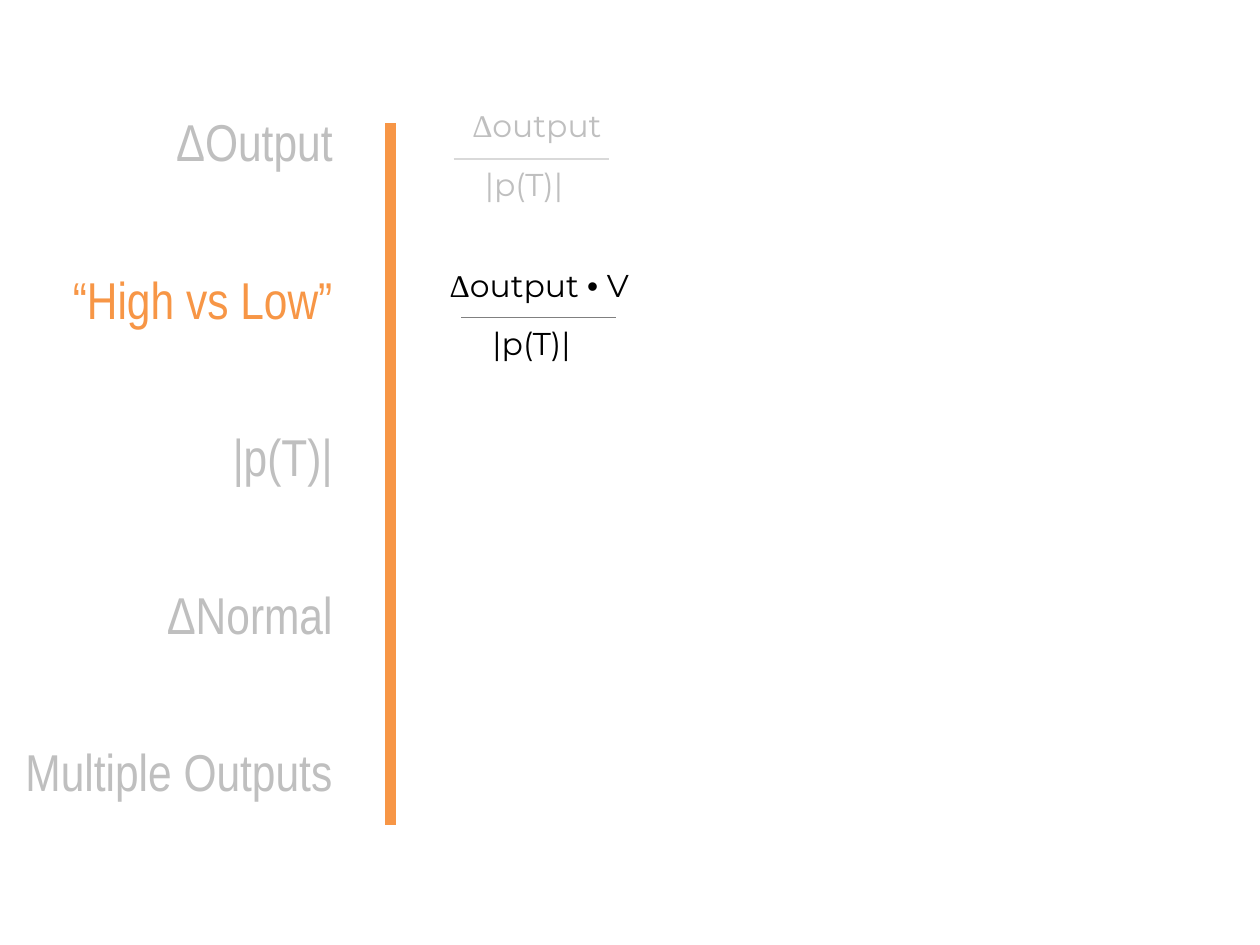
import pptx
import pptx.util
import pptx.dml.color
import pptx.enum.shapes
import pptx.enum.text
import pptx.oxml.ns
from lxml import etree

Inches = pptx.util.Inches
Pt = pptx.util.Pt
RGB = pptx.dml.color.RGBColor

ORANGE = RGB(0xF7, 0x96, 0x46)
SILVER = RGB(0xBF, 0xBF, 0xBF)
PALE = RGB(0xD9, 0xD9, 0xD9)
GRAY = RGB(0x80, 0x80, 0x80)
BLACK = RGB(0, 0, 0)

SERIF, SANS, PLAIN = "Times New Roman", "Montserrat", "Arial"
TOPICS = [
    ("ΔOutput", SILVER),
    ("“High vs Low”", ORANGE),
    ("|p(T)|", SILVER),
    ("ΔNormal", SILVER),
    ("Multiple Outputs", SILVER),
]


def add_run(para, text, font, size, color):
    run = para.add_run()
    run.text = text
    run.font.name = font
    run.font.size = Pt(size)
    run.font.color.rgb = color


def add_line(slide, x1, y1, x2, y2, color, width):
    line = slide.shapes.add_connector(
        pptx.enum.shapes.MSO_CONNECTOR.STRAIGHT,
        Inches(x1), Inches(y1), Inches(x2), Inches(y2))
    line.line.color.rgb = color
    line.line.width = Pt(width)
    props = line._element.spPr
    etree.SubElement(props, pptx.oxml.ns.qn("a:effectLst"))


def add_term(slide, x, y, width, parts, color):
    """Add one line of text, given as (text, font) parts."""
    box = slide.shapes.add_textbox(
        Inches(x), Inches(y), Inches(width), Inches(0.4))
    frame = box.text_frame
    frame.word_wrap = False
    frame.auto_size = pptx.enum.text.MSO_AUTO_SIZE.SHAPE_TO_FIT_TEXT
    for text, font in parts:
        add_run(frame.paragraphs[0], text, font, 18, color)


def add_topics(slide):
    box = slide.shapes.add_textbox(
        Inches(0.01), Inches(0.76), Inches(2.73), Inches(6.17))
    frame = box.text_frame
    frame.word_wrap = True
    for i, (text, color) in enumerate(TOPICS):
        para = frame.add_paragraph() if i else frame.paragraphs[0]
        para.alignment = pptx.enum.text.PP_ALIGN.RIGHT
        para.line_spacing = Pt(40)
        para.space_after = Pt(50)
        add_run(para, text, "Arial Narrow", 29.6, color)


def main():
    deck = pptx.Presentation()
    deck.slide_width, deck.slide_height = Inches(10), Inches(7.5)
    slide = deck.slides.add_slide(deck.slide_layouts[6])

    delta = ("Δ", SERIF)
    size = [("|p(T)|", SANS)]
    add_term(slide, 3.65, 0.79, 1.23, [delta, ("output", SANS)], SILVER)
    add_term(slide, 3.75, 1.26, 0.89, size, SILVER)
    add_term(slide, 3.47, 2.06, 1.68,
             [delta, ("output ", SANS), ("• ", PLAIN), ("V", SANS)], BLACK)
    add_term(slide, 3.81, 2.52, 0.89, size, BLACK)
    add_line(slide, 3.66, 2.52, 4.89, 2.52, GRAY, 1)
    add_topics(slide)
    add_line(slide, 3.6, 1.26, 4.83, 1.26, PALE, 1)
    add_line(slide, 3.1, 0.98, 3.1, 6.55, ORANGE, 6)
    deck.save("out.pptx")


if __name__ == "__main__":
    main()
